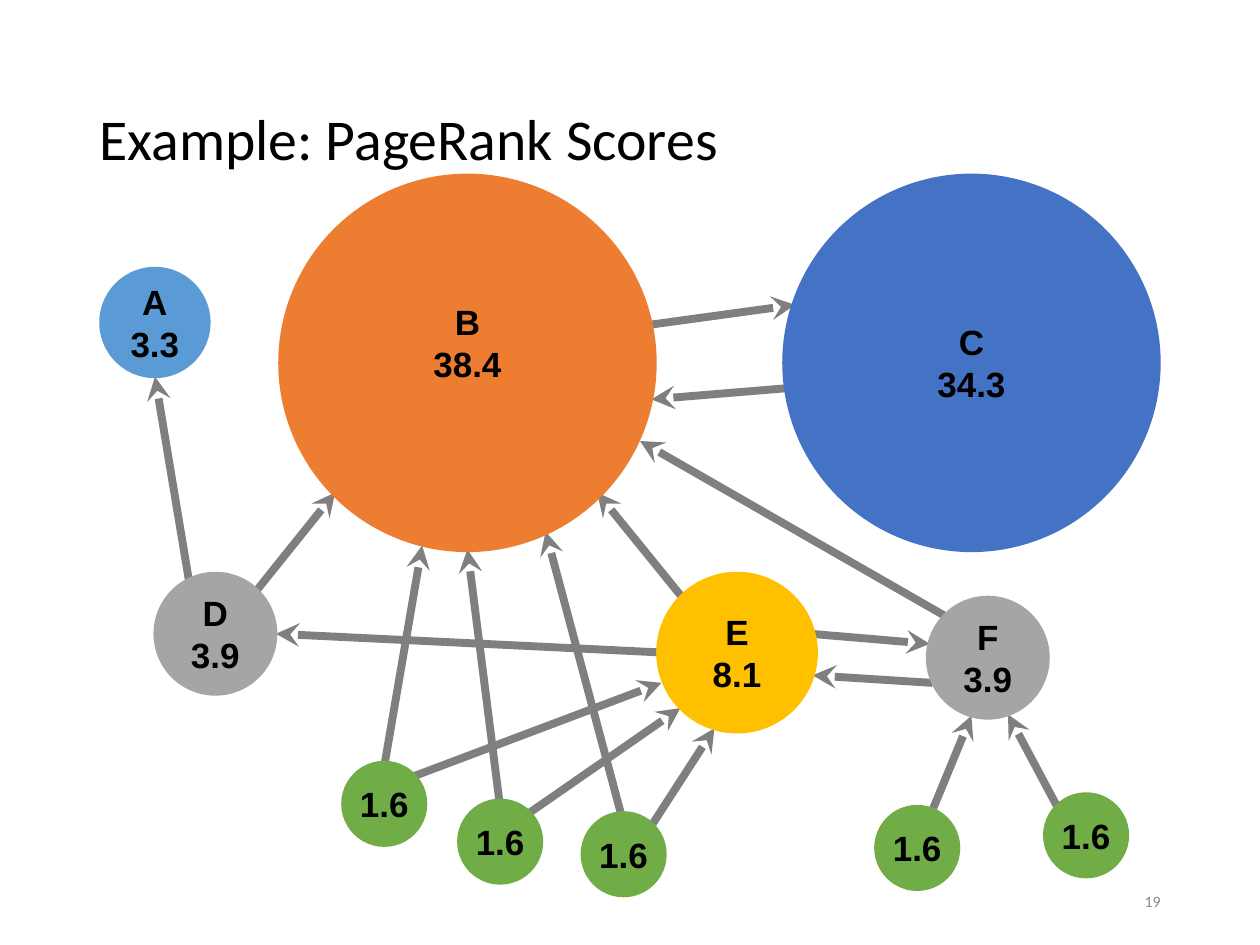
"""Build the PageRank scores slide: a graph of scored pages joined by arrows."""
from dataclasses import dataclass
from typing import NamedTuple

import lxml.etree
import pptx
import pptx.dml.color
import pptx.enum.shapes
import pptx.enum.text
import pptx.oxml.ns
import pptx.util

EMU_PER_PX = 9144
ALIGN = pptx.enum.text.PP_ALIGN


@dataclass(frozen=True)
class Theme:
    title_font: str = "Calibri"
    node_font: str = "Arial"
    title_size: int = 33
    node_size: int = 20
    number_size: int = 9
    node_outline: float = 6
    link_width: float = 4.5
    text: str = "000000"
    number: str = "888888"
    link: str = "7F7F7F"
    orange: str = "ED7D31"
    blue: str = "4472C4"
    gold: str = "FFC000"
    gray: str = "A5A5A5"
    sky: str = "5B9BD5"
    green: str = "70AD47"


class Node(NamedTuple):
    label: str
    left: int
    top: int
    diameter: int
    color: str
    bottom_inset: int = 0


class Link(NamedTuple):
    start_x: int
    start_y: int
    end_x: int
    end_y: int


class Caption(NamedTuple):
    text: str
    left: int
    top: int
    width: int
    height: int
    size: int
    color: str
    alignment: ALIGN


THEME = Theme()

CAPTIONS = [
    Caption("Example: PageRank Scores", 69, 40, 862, 145,
            THEME.title_size, THEME.text, ALIGN.LEFT),
    Caption("19", 706, 695, 225, 40,
            THEME.number_size, THEME.number, ALIGN.RIGHT),
]

LINKS = [
    Link(514, 258, 631, 242),
    Link(626, 308, 517, 317),
    Link(543, 476, 474, 391),
    Link(201, 472, 266, 391),
    Link(150, 461, 123, 299),
    Link(305, 608, 335, 433),
    Link(326, 617, 525, 542),
    Link(528, 518, 219, 503),
    Link(397, 641, 371, 436),
    Link(416, 648, 540, 562),
    Link(516, 657, 567, 578),
    Link(495, 654, 433, 422),
    Link(738, 648, 771, 568),
    Link(840, 642, 800, 567),
    Link(752, 490, 508, 350),
    Link(740, 542, 645, 536),
    Link(643, 503, 738, 511),
]

LEAF_POSITIONS = [(275, 608), (367, 638), (465, 648), (698, 643), (832, 633)]

NODES = [
    Node("B\n38.4", 225, 142, 292, THEME.orange, bottom_inset=32),
    Node("C\n34.3", 625, 142, 292, THEME.blue),
    Node("E\n8.1", 525, 458, 120, THEME.gold),
    Node("F\n3.9", 739, 477, 90, THEME.gray),
    Node("D\n3.9", 126, 458, 90, THEME.gray),
    Node("A\n3.3", 83, 216, 80, THEME.sky),
    *[Node("1.6", left, top, 60, THEME.green) for left, top in LEAF_POSITIONS],
]


def px(length: int) -> pptx.util.Emu:
    return pptx.util.Emu(length * EMU_PER_PX)


def rgb(color: str) -> pptx.dml.color.RGBColor:
    return pptx.dml.color.RGBColor.from_string(color)


def write_text(text_frame, text: str, font: str, size: int, color: str,
               alignment: ALIGN, bold: bool = False) -> None:
    text_frame.text = text
    text_frame.vertical_anchor = pptx.enum.text.MSO_ANCHOR.MIDDLE
    for paragraph in text_frame.paragraphs:
        paragraph.alignment = alignment
        for run in paragraph.runs:
            run.font.name = font
            run.font.size = pptx.util.Pt(size)
            run.font.bold = bold
            run.font.color.rgb = rgb(color)


def draw_caption(slide, caption: Caption) -> None:
    shape = slide.shapes.add_textbox(
        px(caption.left), px(caption.top), px(caption.width), px(caption.height))
    shape.text_frame.word_wrap = True
    write_text(shape.text_frame, caption.text, THEME.title_font, caption.size,
               caption.color, caption.alignment)


def draw_link(slide, link: Link) -> None:
    connector = slide.shapes.add_connector(
        pptx.enum.shapes.MSO_CONNECTOR.STRAIGHT, *map(px, link))
    connector.line.color.rgb = rgb(THEME.link)
    connector.line.width = pptx.util.Pt(THEME.link_width)
    qn = pptx.oxml.ns.qn
    properties = connector.element.find(qn("p:spPr"))
    outline = properties.find(qn("a:ln"))
    lxml.etree.SubElement(outline, qn("a:tailEnd"), type="stealth")
    lxml.etree.SubElement(properties, qn("a:effectLst"))


def draw_node(slide, node: Node) -> None:
    shape = slide.shapes.add_shape(
        pptx.enum.shapes.MSO_SHAPE.OVAL, px(node.left), px(node.top),
        px(node.diameter), px(node.diameter))
    shape.shadow.inherit = False
    shape.fill.solid()
    shape.fill.fore_color.rgb = rgb(node.color)
    shape.line.color.rgb = rgb(node.color)
    shape.line.width = pptx.util.Pt(THEME.node_outline)
    text_frame = shape.text_frame
    text_frame.margin_left = text_frame.margin_right = text_frame.margin_top = 0
    text_frame.margin_bottom = px(node.bottom_inset)
    write_text(text_frame, node.label, THEME.node_font, THEME.node_size,
               THEME.text, ALIGN.CENTER, bold=True)


def main() -> None:
    presentation = pptx.Presentation()
    presentation.slide_width = px(1000)
    presentation.slide_height = px(750)
    slide = presentation.slides.add_slide(presentation.slide_layouts[6])
    for caption in CAPTIONS:
        draw_caption(slide, caption)
    for link in LINKS:
        draw_link(slide, link)
    for node in NODES:
        draw_node(slide, node)
    slide.shapes[0].text_frame.paragraphs[0].line_spacing = 0.9
    presentation.save("out.pptx")


if __name__ == "__main__":
    main()
